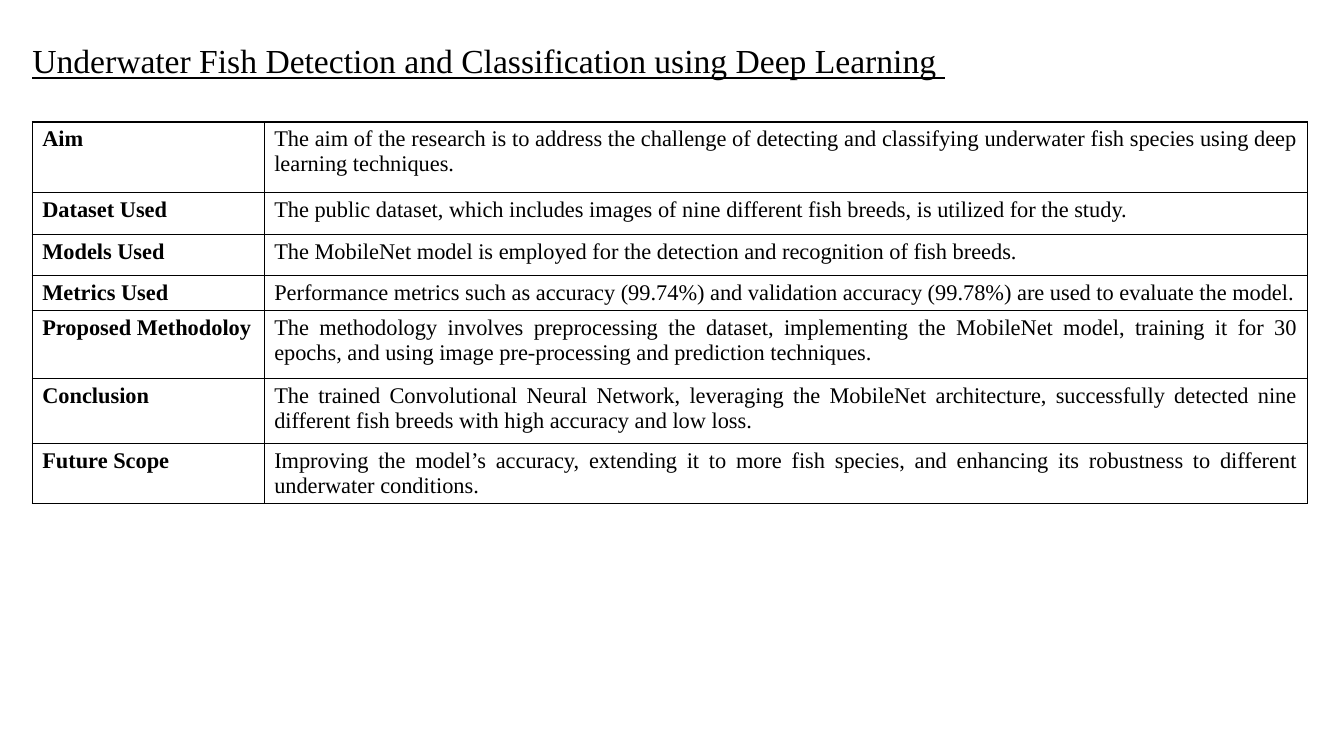
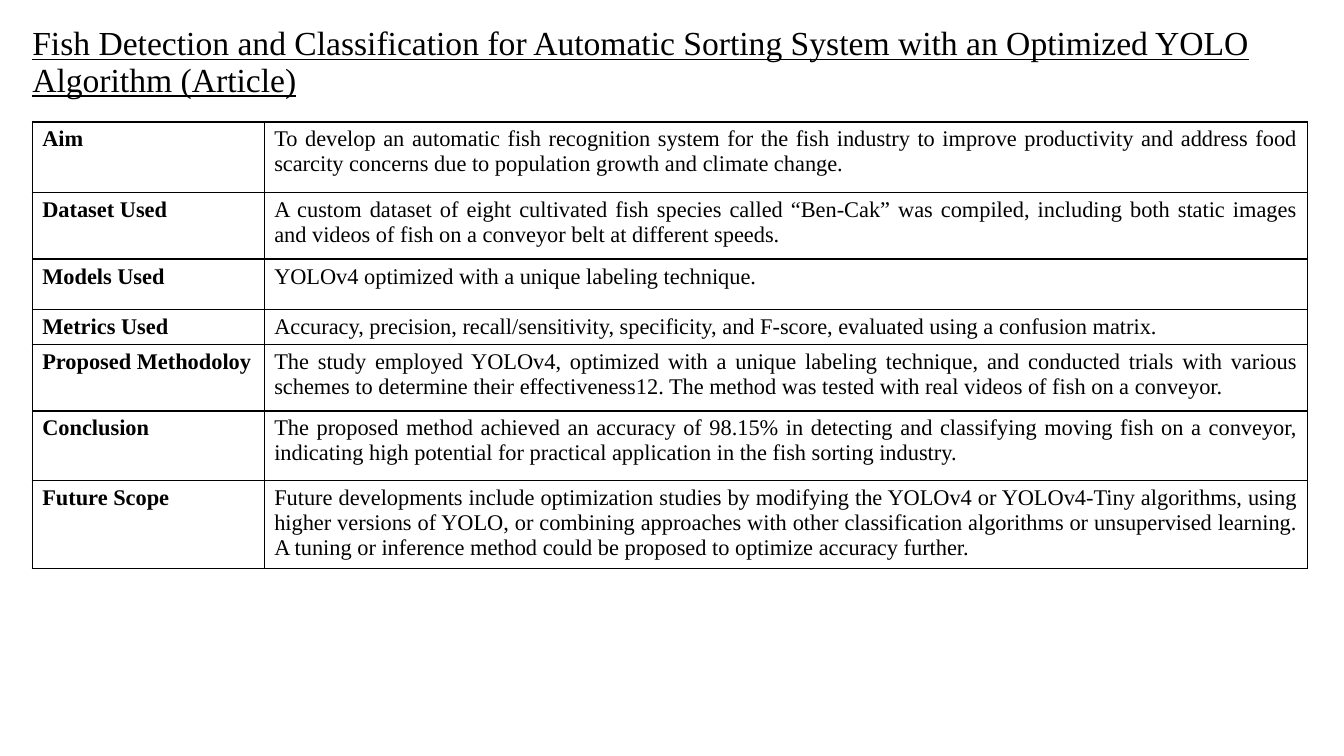
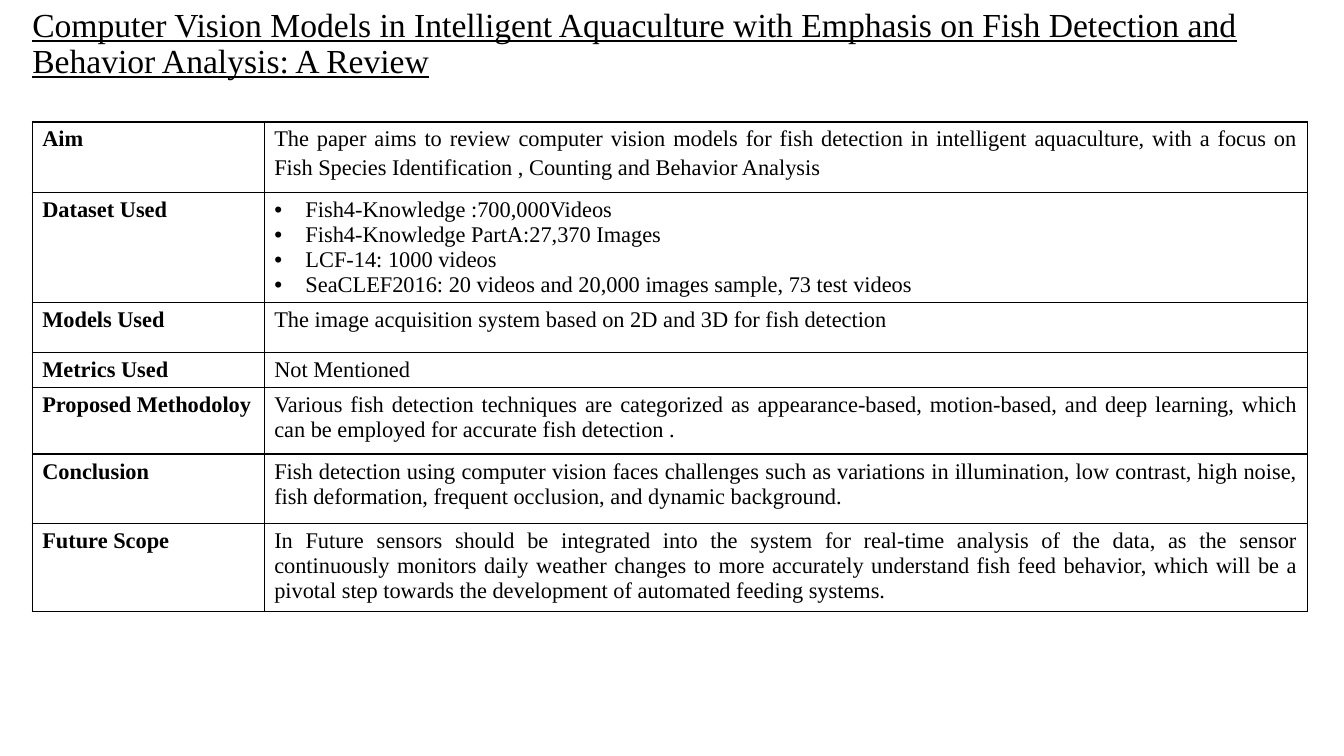
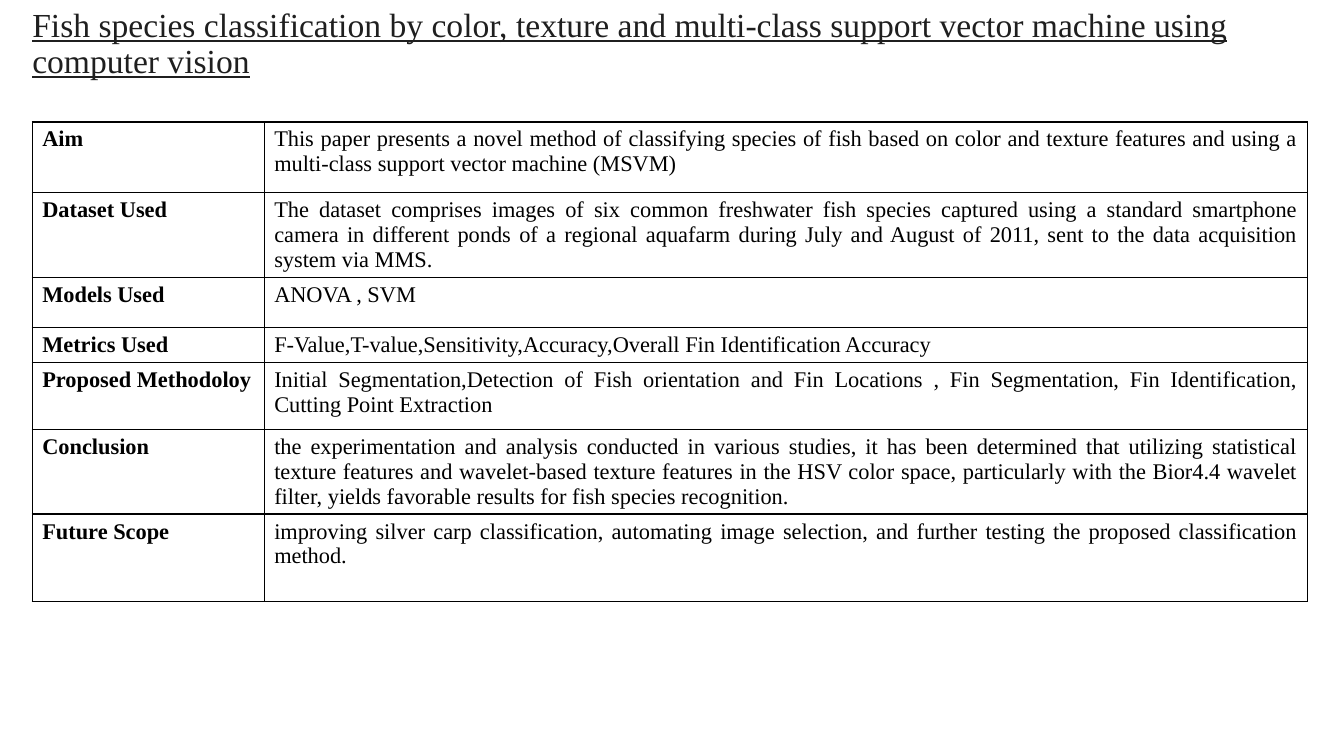
"""Builds four literature review slides, one summary table per paper."""
from dataclasses import dataclass

from lxml import etree
from pptx import Presentation
from pptx import util as u
from pptx.dml.color import RGBColor
from pptx.enum import text
from pptx.oxml.ns import qn

EMU_PER_PX = 9144


def px(length: int) -> u.Emu:
    """Turn px, a hundred to the inch, into EMU."""
    return u.Emu(length * EMU_PER_PX)


@dataclass(frozen=True)
class Theme:
    """Colours, fonts and type sizes of the deck."""
    ink: str = "000000"
    soft_ink: str = "1F1F1F"
    face: str = "Times New Roman"
    closing_face: str = "Calibri"
    title_size: int = 24
    body_size: int = 16
    closing_size: int = 18
    border_width: int = 1


THEME = Theme()
SLIDE_SIZE = (1333, 750)
TITLE_LEFT, TITLE_WIDTH = 22, 1251
TABLE_LEFT, TABLE_TOP = 32, 121
COLUMN_WIDTHS = (230, 1035)
BULLET_INDENT = 31
TOPICS = ("Aim", "Dataset Used", "Models Used", "Metrics Used",
          "Proposed Methodoloy", "Conclusion", "Future Scope")


@dataclass(frozen=True)
class Finding:
    """What a paper says on one topic; several lines make a bullet list."""
    lines: tuple[str, ...]
    closing_space: bool = False


@dataclass(frozen=True)
class Paper:
    """One reviewed paper, with a finding for each topic."""
    title: str
    findings: tuple[Finding, ...]
    row_heights: tuple[int, ...] = (70, 66, 50, 33, 66, 69, 87)
    title_top: int = 17
    title_height: int = 91
    title_color: str = THEME.ink


def said(*lines: str, closing_space: bool = False) -> Finding:
    """Gather lines into a finding."""
    return Finding(lines, closing_space)


PAPERS = (
    Paper(
        "Underwater Fish Detection and Classification using Deep Learning ",
        (
            said("The aim of the research is to address the challenge of detecting and classifying "
                 "underwater fish species using deep learning techniques."),
            said("The public dataset, which includes images of nine different fish breeds, "
                 "is utilized for the study."),
            said("The MobileNet model is employed for the detection and recognition of fish breeds."),
            said("Performance metrics such as accuracy (99.74%) and validation accuracy (99.78%) "
                 "are used to evaluate the model."),
            said("The methodology involves preprocessing the dataset, implementing the MobileNet model, "
                 "training it for 30 epochs, and using image pre-processing and prediction techniques."),
            said("The trained Convolutional Neural Network, leveraging the MobileNet architecture, "
                 "successfully detected nine different fish breeds with high accuracy and low loss."),
            said("Improving the model’s accuracy, extending it to more fish species, and enhancing "
                 "its robustness to different underwater conditions."),
        ),
        row_heights=(70, 42, 40, 33, 68, 64, 60),
    ),
    Paper(
        "Fish Detection and Classification for Automatic Sorting System "
        "with an Optimized YOLO Algorithm (Article)",
        (
            said("To develop an automatic fish recognition system for the fish industry to improve "
                 "productivity and address food scarcity concerns due to population growth and "
                 "climate change."),
            said("A custom dataset of eight cultivated fish species called “Ben-Cak” was compiled, "
                 "including both static images and videos of fish on a conveyor belt at different speeds."),
            said("YOLOv4 optimized with a unique labeling technique."),
            said("Accuracy, precision, recall/sensitivity, specificity, and F-score, "
                 "evaluated using a confusion matrix."),
            said("The study employed YOLOv4, optimized with a unique labeling technique, and conducted "
                 "trials with various schemes to determine their effectiveness12. The method was tested "
                 "with real videos of fish on a conveyor."),
            said("The proposed method achieved an accuracy of 98.15% in detecting and classifying moving "
                 "fish on a conveyor, indicating high potential for practical application in the fish "
                 "sorting industry."),
            said("Future developments include optimization studies by modifying the YOLOv4 or YOLOv4-Tiny "
                 "algorithms, using higher versions of YOLO, or combining approaches with other "
                 "classification algorithms or unsupervised learning. A tuning or inference method "
                 "could be proposed to optimize accuracy further."),
        ),
    ),
    Paper(
        "Computer Vision Models in Intelligent Aquaculture with Emphasis on Fish Detection "
        "and Behavior Analysis: A Review",
        (
            said("The paper aims to review computer vision models for fish detection in intelligent "
                 "aquaculture, with a focus on Fish Species Identification , Counting and Behavior Analysis",
                 closing_space=True),
            said("Fish4-Knowledge :700,000Videos ",
                 "Fish4-Knowledge PartA:27,370 Images",
                 "LCF-14: 1000 videos",
                 "SeaCLEF2016: 20 videos and 20,000 images sample, 73 test videos"),
            said("The image acquisition system based on 2D and 3D for fish detection"),
            said("Not Mentioned"),
            said("Various fish detection techniques are categorized as appearance-based, motion-based, "
                 "and deep learning, which can be employed for accurate fish detection ."),
            said("Fish detection using computer vision faces challenges such as variations in "
                 "illumination, low contrast, high noise, fish deformation, frequent occlusion, "
                 "and dynamic background."),
            said("In Future sensors should be integrated into the system for real-time analysis of the "
                 "data, as the sensor continuously monitors daily weather changes to more accurately "
                 "understand fish feed behavior, which will be a pivotal step towards the development "
                 "of automated feeding systems."),
        ),
        title_top=0,
        title_height=88,
    ),
    Paper(
        "Fish species classification by color, texture and multi-class support vector machine "
        "using computer vision",
        (
            said("This paper presents a novel method of classifying species of fish based on color and "
                 "texture features and using a multi-class support vector machine (MSVM)"),
            said("The dataset comprises images of six common freshwater fish species captured using a "
                 "standard smartphone camera in different ponds of a regional aquafarm during July and "
                 "August of 2011, sent to the data acquisition system via MMS."),
            said("ANOVA , SVM"),
            said("F-Value,T-value,Sensitivity,Accuracy,Overall Fin Identification Accuracy"),
            said("Initial Segmentation,Detection of Fish orientation and Fin Locations , "
                 "Fin Segmentation, Fin Identification, Cutting Point Extraction"),
            said("the experimentation and analysis conducted in various studies, it has been determined "
                 "that utilizing statistical texture features and wavelet-based texture features in the "
                 "HSV color space, particularly with the Bior4.4 wavelet filter, yields favorable results "
                 "for fish species recognition."),
            said("improving silver carp classification, automating image selection, and further testing "
                 "the proposed classification method."),
        ),
        title_top=0,
        title_height=88,
        title_color=THEME.soft_ink,
    ),
)


def apply(target, **values) -> None:
    """Set each named attribute on the target."""
    for name, value in values.items():
        setattr(target, name, value)


def style_font(font, size: int, color: str = THEME.ink, name: str = THEME.face, **extra) -> None:
    """Give a font its size, colour, face and any further attributes."""
    apply(font, size=u.Pt(size), name=name, **extra)
    font.color.rgb = RGBColor.from_string(color)


def draw_title(slide, paper: Paper) -> None:
    """Place and format the paper's title."""
    heading = slide.shapes.title
    apply(heading, left=px(TITLE_LEFT), top=px(paper.title_top),
          width=px(TITLE_WIDTH), height=px(paper.title_height))
    frame = heading.text_frame
    apply(frame, text=paper.title, word_wrap=True, auto_size=text.MSO_AUTO_SIZE.NONE,
          vertical_anchor=text.MSO_ANCHOR.MIDDLE)
    line = frame.paragraphs[0]
    apply(line, alignment=text.PP_ALIGN.LEFT, line_spacing=0.9)
    style_font(line.runs[0].font, THEME.title_size, paper.title_color, underline=True)


def rule_cell(cell) -> None:
    """Rule all four sides of a cell and leave it unfilled."""
    properties = cell._tc.get_or_add_tcPr()
    for side in ("a:lnL", "a:lnR", "a:lnT", "a:lnB"):
        border = etree.SubElement(properties, qn(side), w=str(u.Pt(THEME.border_width)))
        ink = etree.SubElement(border, qn("a:solidFill"))
        etree.SubElement(ink, qn("a:srgbClr"), val=THEME.ink)
    cell.fill.background()


def add_bullet(paragraph) -> None:
    """Give a paragraph a hanging bullet."""
    properties = paragraph._p.get_or_add_pPr()
    properties.set("marL", str(px(BULLET_INDENT)))
    properties.set("indent", str(px(-BULLET_INDENT)))
    etree.SubElement(properties, qn("a:buFont"), typeface="Arial")
    etree.SubElement(properties, qn("a:buChar"), char="•")


def fill_cell(cell, finding: Finding, bold: bool) -> None:
    """Write a finding into a ruled cell."""
    rule_cell(cell)
    cell.text = "\n".join(finding.lines)
    for paragraph in cell.text_frame.paragraphs:
        paragraph.alignment = text.PP_ALIGN.JUSTIFY
        if len(finding.lines) > 1:
            add_bullet(paragraph)
        style_font(paragraph.runs[0].font, THEME.body_size, bold=bold)
        if finding.closing_space:
            closing = paragraph.add_run()
            closing.text = " "
            style_font(closing.font, THEME.closing_size, name=THEME.closing_face, bold=bold)


def draw_summary(slide, paper: Paper) -> None:
    """Draw the table that sets each topic beside its finding."""
    summary = slide.shapes.add_table(
        len(TOPICS), len(COLUMN_WIDTHS), px(TABLE_LEFT), px(TABLE_TOP),
        px(sum(COLUMN_WIDTHS)), px(sum(paper.row_heights))).table
    apply(summary, first_row=False, horz_banding=False)
    for column, width in zip(summary.columns, COLUMN_WIDTHS):
        column.width = px(width)
    for index, (topic, finding, height) in enumerate(zip(TOPICS, paper.findings, paper.row_heights)):
        summary.rows[index].height = px(height)
        fill_cell(summary.cell(index, 0), said(topic), bold=True)
        fill_cell(summary.cell(index, 1), finding, bold=False)


def main() -> None:
    """Build and save the deck."""
    deck = Presentation()
    deck.slide_width, deck.slide_height = map(px, SLIDE_SIZE)
    title_only = deck.slide_layouts[5]
    for paper in PAPERS:
        slide = deck.slides.add_slide(title_only)
        draw_title(slide, paper)
        draw_summary(slide, paper)
    deck.save("out.pptx")


if __name__ == "__main__":
    main()
